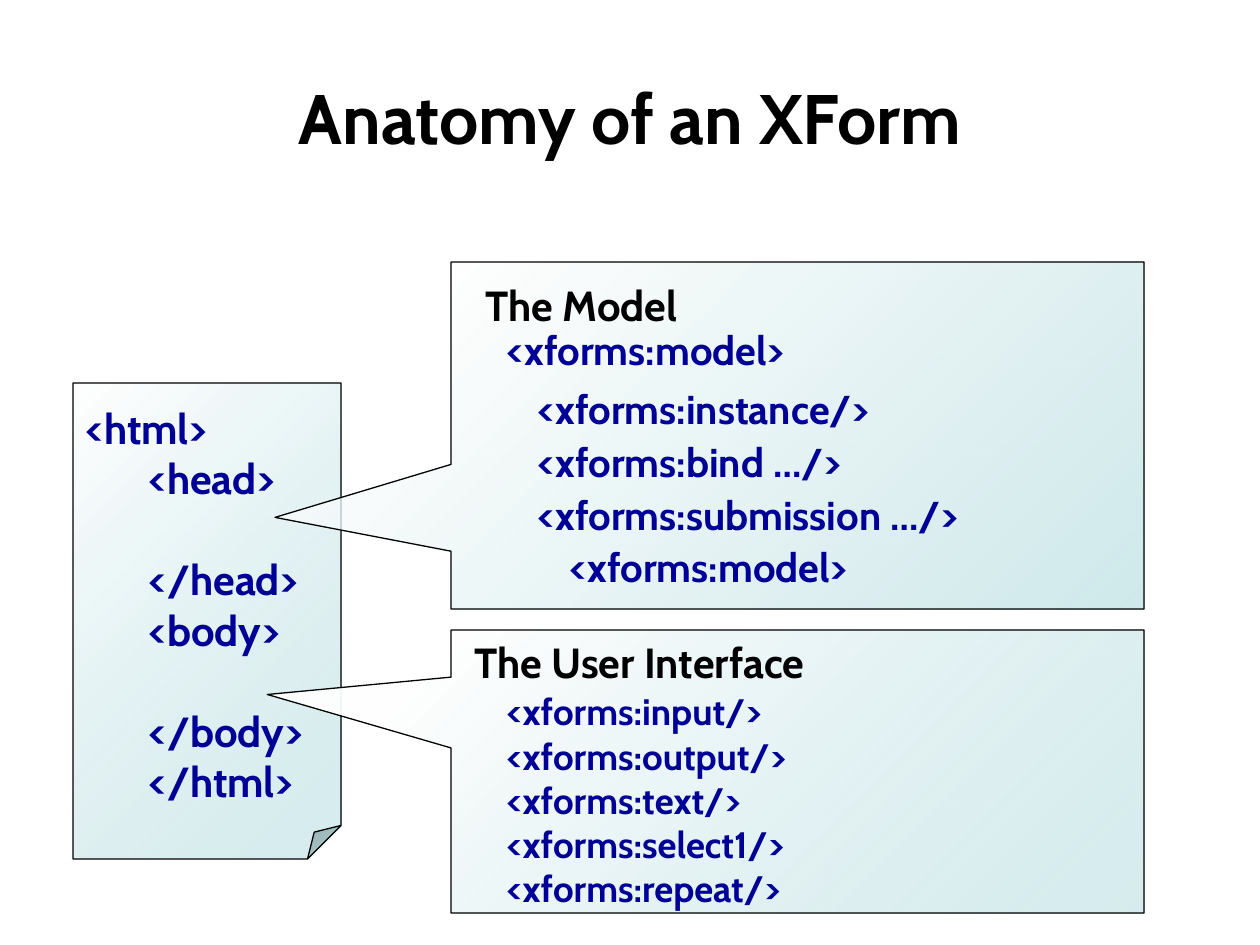
"""Build the slide that shows the parts of an XForm."""
from dataclasses import dataclass

import lxml.etree
import pptx
import pptx.dml.color
import pptx.enum.shapes
import pptx.enum.text
import pptx.oxml.ns
import pptx.util

SCALE = 914400 / 126
FONT = "Cabin"
HUES = {"ink": "000000", "code": "000096", "teal": "BBE0E3", "white": "FFFFFF"}
KINDS = pptx.enum.shapes.MSO_SHAPE
ALIGN = pptx.enum.text.PP_ALIGN
ANCHOR = pptx.enum.text.MSO_ANCHOR


@dataclass(frozen=True)
class Line:
    text: str
    dent: int = 0
    gap: int = 0


@dataclass(frozen=True)
class Panel:
    kind: KINDS
    box: tuple[int, int, int, int]
    bends: dict[str, int]
    clear: tuple[int, int]
    lines: tuple[Line, ...] = ()


@dataclass(frozen=True)
class Label:
    box: tuple[int, int, int, int]
    lines: tuple[Line, ...]
    size: int
    hue: str = "code"
    pitch: float = 1.0
    align: ALIGN = ALIGN.LEFT
    anchor: ANCHOR = ANCHOR.TOP


PAGE = (
    Line("<html>"), Line("<head>", 63), Line("</head>", 63, 29), Line("<body>", 63),
    Line("</body>", 63, 29), Line("</html>", 63),
)
PANELS = (
    Panel(KINDS.FOLDED_CORNER, (73, 383, 268, 476), {"adj": 12500}, (60, 100), PAGE),
    Panel(KINDS.RECTANGULAR_CALLOUT, (451, 262, 693, 347),
          {"adj1": -75400, "adj2": 23600}, (70, 79)),
    Panel(KINDS.RECTANGULAR_CALLOUT, (451, 630, 693, 283),
          {"adj1": -76500, "adj2": -27200}, (60, 100)),
)
PARTS = ("<xforms:instance/>", "<xforms:bind …/>", "<xforms:submission …/>")
FIELDS = ("input", "output", "text", "select1", "repeat")
LABELS = (
    Label((63, 38, 1134, 158), (Line("Anatomy of an XForm"),), 40, "ink",
          align=ALIGN.CENTER, anchor=ANCHOR.MIDDLE),
    Label((494, 325, 588, 273),
          (Line("<xforms:model>"), Line("<xforms:model>", 63, 99)), 23, pitch=0.9),
    Label((473, 273, 399, 63), (Line("The Model"),), 24, "ink"),
    Label((462, 630, 399, 63), (Line("The User Interface"),), 24, "ink"),
    *(Label((525, 378 + 53 * row, 536, 62), (Line(part),), 23)
      for row, part in enumerate(PARTS)),
    Label((494, 683, 451, 233),
          tuple(Line(f"<xforms:{field}/>") for field in FIELDS), 21),
)


def emu(px: int) -> pptx.util.Emu:
    """Turn px into EMU."""
    return pptx.util.Emu(round(px * SCALE))


def tint(hue: str) -> pptx.dml.color.RGBColor:
    """Look up a colour by its name."""
    return pptx.dml.color.RGBColor.from_string(HUES[hue])


def write(shape, label: Label) -> None:
    """Fill a shape with the lines of a label."""
    frame = shape.text_frame
    frame.word_wrap = True
    frame.vertical_anchor = label.anchor
    for rank, line in enumerate(label.lines):
        para = frame.add_paragraph() if rank else frame.paragraphs[0]
        para.alignment = label.align
        para.line_spacing = label.pitch
        if line.gap:
            para.space_before = pptx.util.Pt(line.gap)
        props = para._p.get_or_add_pPr()
        props.set("marL", str(emu(line.dent)))
        props.set("indent", "0")
        run = para.add_run()
        run.text = line.text
        run.font.name = FONT
        run.font.size = pptx.util.Pt(label.size)
        run.font.bold = True
        run.font.color.rgb = tint(label.hue)


def bend(shape, bends: dict[str, int]) -> None:
    """Set the named adjustments of a preset shape."""
    guides = shape._element.spPr.find(".//" + pptx.oxml.ns.qn("a:avLst"))
    for guide in list(guides):
        guides.remove(guide)
    for name, value in bends.items():
        guide = lxml.etree.SubElement(guides, pptx.oxml.ns.qn("a:gd"))
        guide.set("name", name)
        guide.set("fmla", f"val {value}")


def draw_panel(slide, panel: Panel) -> None:
    """Draw a shaded panel with any lines it holds."""
    shape = slide.shapes.add_shape(panel.kind, *map(emu, panel.box))
    shape.shadow.inherit = False
    bend(shape, panel.bends)
    shape.fill.gradient()
    shape.fill.gradient_angle = 135
    for stop, hue in zip(shape.fill.gradient_stops, ("teal", "white")):
        stop.color.rgb = tint(hue)
    tag = pptx.oxml.ns.qn("a:srgbClr")
    for node, share in zip(shape._element.spPr.iter(tag), panel.clear):
        alpha = lxml.etree.SubElement(node, pptx.oxml.ns.qn("a:alpha"))
        alpha.set("val", str(share * 1000))
    shape.line.color.rgb = tint("ink")
    shape.line.width = pptx.util.Pt(0.75)
    if panel.lines:
        write(shape, Label(panel.box, panel.lines, 24, anchor=ANCHOR.MIDDLE))


def draw_label(slide, label: Label) -> None:
    """Draw a text box."""
    write(slide.shapes.add_textbox(*map(emu, label.box)), label)


def main() -> None:
    """Build and save the slide."""
    deck = pptx.Presentation()
    deck.slide_width, deck.slide_height = emu(1260), emu(945)
    slide = deck.slides.add_slide(deck.slide_layouts[6])
    for panel in PANELS:
        draw_panel(slide, panel)
    for label in LABELS:
        draw_label(slide, label)
    deck.save("out.pptx")


if __name__ == "__main__":
    main()
